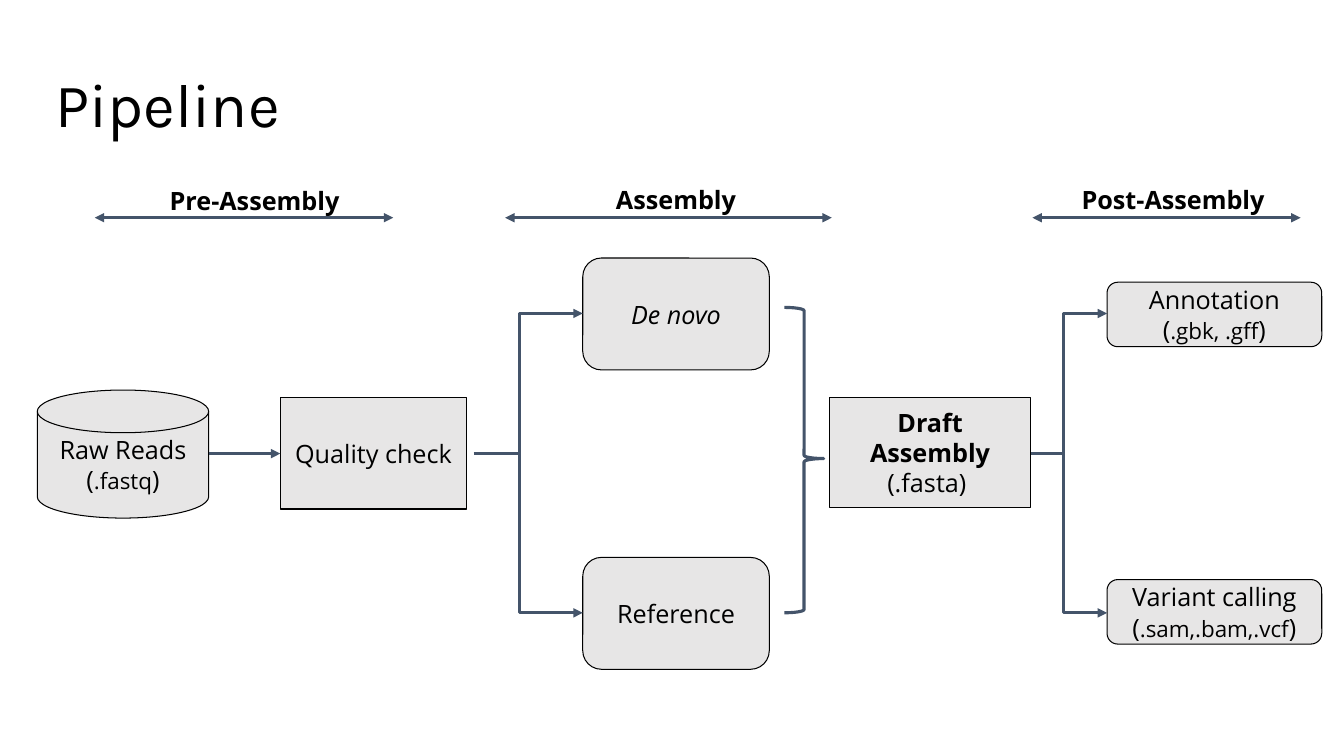
from lxml import etree
from pptx import Presentation
from pptx import util as u
from pptx.dml.color import RGBColor
from pptx.enum import shapes, text
from pptx.oxml import ns

COLORS = {"text": "000000", "box": "E7E6E6", "arrow": "44546A"}
SHAPE = shapes.MSO_SHAPE


def rgb(name):
    return RGBColor.from_string(COLORS[name])


class PipelineSlide:
    font, size, small = "Open Sans", 18, 16

    def __init__(self, slide):
        self.shapes = slide.shapes

    def fill_text(self, shape, paragraphs, inset=0.13, anchor=text.MSO_ANCHOR.MIDDLE,
                  align=text.PP_ALIGN.CENTER, font=None):
        """Each paragraph is a list of (words, size, style) with style "", "b" or "i"."""
        frame = shape.text_frame
        frame.word_wrap = True
        frame.vertical_anchor = anchor
        frame.margin_left = frame.margin_right = u.Inches(inset)
        frame.margin_top = frame.margin_bottom = u.Inches(inset)
        for index, pieces in enumerate(paragraphs):
            paragraph = frame.add_paragraph() if index else frame.paragraphs[0]
            paragraph.alignment = align
            for words, size, style in pieces:
                run = paragraph.add_run()
                run.text = words
                run.font.name = font or self.font
                run.font.size = u.Pt(size)
                run.font.bold = style == "b"
                run.font.italic = style == "i"
                run.font.color.rgb = rgb("text")

    def title(self, words):
        box = self.shapes.add_textbox(
            u.Inches(0.45), u.Inches(0.65), u.Inches(12.42), u.Inches(0.84))
        self.fill_text(box, [[(words, 44, "")]], inset=0.1,
                       align=text.PP_ALIGN.LEFT, font="Karla")
        box.text_frame.paragraphs[0].line_spacing = 0.9

    def label(self, words, left, top):
        box = self.shapes.add_textbox(
            u.Inches(left), u.Inches(top), u.Inches(2.37), u.Inches(0.29))
        self.fill_text(box, [[(words, self.size, "b")]], anchor=text.MSO_ANCHOR.TOP)

    def step(self, kind, place, paragraphs):
        step = self.shapes.add_shape(kind, *map(u.Inches, place))
        step.shadow.inherit = False
        step.fill.solid()
        step.fill.fore_color.rgb = rgb("box")
        step.line.color.rgb = rgb("text")
        step.line.width = u.Pt(0.75)
        self.fill_text(step, paragraphs)

    def with_files(self, name, files, split=False):
        """A step name followed by its smaller file types in brackets."""
        end = [(files, self.small, ""), (")", self.size, "")]
        if split:
            return [[(name, self.size, "")], [("(", self.size, "")] + end]
        return [[(name + " (", self.size, "")] + end]

    def stroke(self, shape, head=False, tail=False):
        shape.line.color.rgb = rgb("arrow")
        shape.line.width = u.Pt(2.25)
        line = shape._element.spPr.find(ns.qn("a:ln"))
        for tag, wanted in (("a:headEnd", head), ("a:tailEnd", tail)):
            if wanted:
                etree.SubElement(line, ns.qn(tag), type="triangle")

    def arrow(self, start, end, y, both=False):
        arrow = self.shapes.add_connector(
            shapes.MSO_CONNECTOR.STRAIGHT, *map(u.Inches, (start, y, end, y)))
        self.stroke(arrow, head=both, tail=True)
        etree.SubElement(arrow._element.spPr, ns.qn("a:effectLst"))

    def elbow(self, start, bend, end, y_from, y_to, tail=False):
        builder = self.shapes.build_freeform(u.Inches(start), u.Inches(y_from))
        corners = ((bend, y_from), (bend, y_to), (end, y_to))
        builder.add_line_segments([(u.Inches(x), u.Inches(y)) for x, y in corners], close=False)
        elbow = builder.convert_to_shape()
        elbow.shadow.inherit = False
        elbow.fill.background()
        self.stroke(elbow, tail=tail)

    def brace(self, place):
        brace = self.shapes.add_shape(SHAPE.RIGHT_BRACE, *map(u.Inches, place))
        brace.shadow.inherit = False
        brace.fill.background()
        brace.adjustments[0], brace.adjustments[1] = 0.083, 0.495
        self.stroke(brace)


def main():
    deck = Presentation()
    deck.slide_width, deck.slide_height = u.Inches(13.33), u.Inches(7.5)
    page = PipelineSlide(deck.slides.add_slide(deck.slide_layouts[6]))
    size = page.size
    upper, middle, lower = 3.11, 4.5, 6.08

    page.title("Pipeline")
    for phase, left, top, start, end in (
            ("Pre-Assembly", 1.34, 1.71, 0.94, 3.9),
            ("Assembly", 5.52, 1.7, 5.01, 8.25),
            ("Post-Assembly", 10.45, 1.7, 10.24, 12.9)):
        page.arrow(start, end, 2.16, both=True)
        page.label(phase, left, top)

    page.step(SHAPE.FLOWCHART_MAGNETIC_DISK, (0.37, 3.87, 1.7, 1.27),
              page.with_files("Raw Reads", ".fastq"))
    page.step(SHAPE.RECTANGLE, (2.78, 3.94, 1.85, 1.11), [[("Quality check", size, "")]])
    for method, top, style in (("De novo", 2.56, "i"), ("Reference", 5.53, "")):
        page.step(SHAPE.ROUNDED_RECTANGLE, (5.78, top, 1.85, 1.11), [[(method, size, style)]])
    page.step(SHAPE.RECTANGLE, (8.23, 3.94, 1.99, 1.1),
              [[("Draft Assembly", size, "b")], [("(.fasta) ", size, "")]])
    for result, files, top, split in (
            ("Annotation", ".gbk, .gff", 2.8, True),
            ("Variant calling", ".sam,.bam,.vcf", 5.75, False)):
        page.step(SHAPE.ROUNDED_RECTANGLE, (10.98, top, 2.13, 0.64),
                  page.with_files(result, files, split))

    page.arrow(2.07, 2.78, middle)
    for branch in (upper, lower):
        page.elbow(4.7, 5.15, 5.74, middle, branch)
        page.arrow(5.19, 5.78, branch)
        page.elbow(10.23, 10.55, 10.98, middle, branch, tail=True)
    page.brace((7.78, 3.05, 0.39, 3.03))
    deck.save("out.pptx")


if __name__ == "__main__":
    main()
